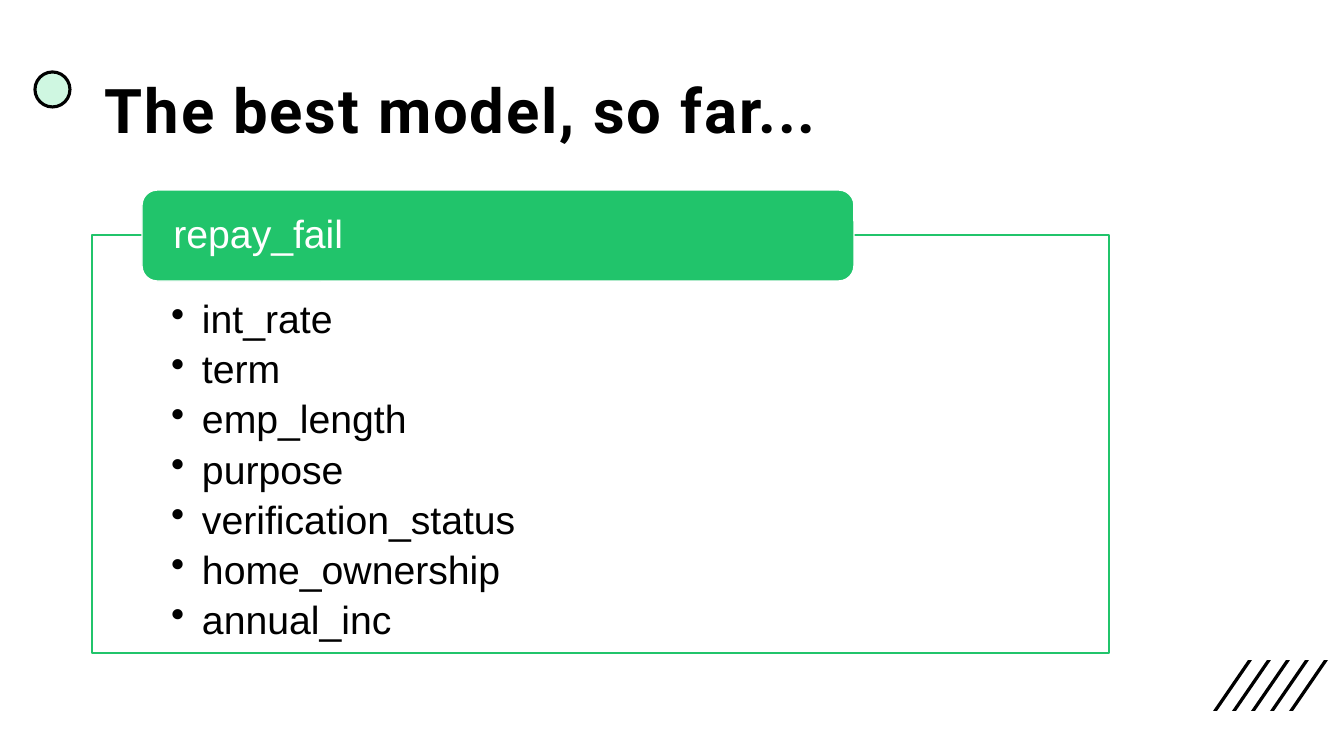
from dataclasses import dataclass

from lxml.etree import SubElement
from pptx import Presentation
from pptx.dml.color import RGBColor
from pptx.enum.shapes import MSO_SHAPE
from pptx.enum.text import MSO_ANCHOR, PP_ALIGN
from pptx.oxml.ns import qn
from pptx.util import Emu, Pt

# Content
TITLE = "The best model, so far..."
TARGET = "repay_fail"
FEATURES = ["int_rate", "term", "emp_length", "purpose",
            "verification_status", "home_ownership", "annual_inc"]

# Layout in px: left, top, width, height
SLIDE = (1344, 756)
DOT_BOX = (35, 72, 35, 35)
TITLE_BOX = (93, 40, 1159, 146)
PANEL_BOX = (92, 235, 1017, 418)
HEADER_BOX = (142, 190, 712, 91)
SLASH_BOX = (1213, 660, 39, 51)
SLASH_COUNT, SLASH_STEP, SLASH_EDGE = 5, 19, 4
BULLET_INDENT = 31


@dataclass(frozen=True)
class Theme:
    ink: str = "000000"
    paper: str = "FFFFFF"
    green: str = "21C46B"
    mint: str = "CFF7E1"
    title_font: str = "Roboto"
    body_font: str = "Arial"
    title_size: int = 44
    body_size: int = 28


THEME = Theme()


def px(n):
    return Emu(round(n * 914400 / 100.8))


def paint(s, fill, line=None, width=1):
    s.shadow.inherit = False
    s.fill.solid()
    s.fill.fore_color.rgb = RGBColor.from_string(fill)
    if line:
        s.line.color.rgb = RGBColor.from_string(line)
        s.line.width = Pt(width)
    else:
        s.line.fill.background()


def add_box(sp, preset, box, fill, line, width=1):
    s = sp.add_shape(preset, *map(px, box))
    paint(s, fill, line, width)
    return s


def write(s, lines, insets, anchor, font, size, color, bold=False):
    tf = s.text_frame
    tf.word_wrap = True
    tf.vertical_anchor = anchor
    tf.margin_left, tf.margin_top, tf.margin_right, tf.margin_bottom = map(px, insets)
    tf.text = "\n".join(lines)
    for p in tf.paragraphs:
        p.alignment = PP_ALIGN.LEFT
        p.line_spacing = 0.9
        f = p.runs[0].font
        f.name, f.size, f.bold = font, Pt(size), bold
        f.color.rgb = RGBColor.from_string(color)
    return tf.paragraphs


def add_slash(sp, left):
    _, top, width, height = SLASH_BOX
    fb = sp.build_freeform(px(left), px(top + height))
    fb.add_line_segments([(px(left + width - SLASH_EDGE), px(top)),
                          (px(left + width), px(top)),
                          (px(left + SLASH_EDGE), px(top + height))], close=True)
    paint(fb.convert_to_shape(), THEME.ink)


def main():
    prs = Presentation()
    prs.slide_width, prs.slide_height = map(px, SLIDE)
    sp = prs.slides.add_slide(prs.slide_layouts[6]).shapes

    # Corner slashes and title dot
    for i in range(SLASH_COUNT):
        add_slash(sp, SLASH_BOX[0] + i * SLASH_STEP)
    add_box(sp, MSO_SHAPE.OVAL, DOT_BOX, THEME.mint, THEME.ink, 2.25)

    # Title
    title = sp.add_textbox(*map(px, TITLE_BOX))
    p = write(title, [TITLE], (12, 12, 12, 10), MSO_ANCHOR.MIDDLE,
              THEME.title_font, THEME.title_size, THEME.ink, True)[0]
    p.runs[0].font._element.set("spc", "130")

    # Feature panel
    panel = add_box(sp, MSO_SHAPE.RECTANGLE, PANEL_BOX, THEME.paper, THEME.green)
    for p in write(panel, FEATURES, (79, 65, 79, 22), MSO_ANCHOR.TOP,
                   THEME.body_font, THEME.body_size, THEME.ink):
        p.space_after = Pt(5.5)
        pPr = p._p.get_or_add_pPr()
        pPr.set("marL", str(px(BULLET_INDENT)))
        pPr.set("indent", str(-px(BULLET_INDENT)))
        SubElement(pPr, qn("a:buChar")).set("char", "•")

    # Target header
    header = add_box(sp, MSO_SHAPE.ROUNDED_RECTANGLE, HEADER_BOX, THEME.green, THEME.paper)
    write(header, [TARGET], (27, 0, 27, 0), MSO_ANCHOR.MIDDLE,
          THEME.body_font, THEME.body_size, THEME.paper)

    prs.save("out.pptx")


if __name__ == "__main__":
    main()
